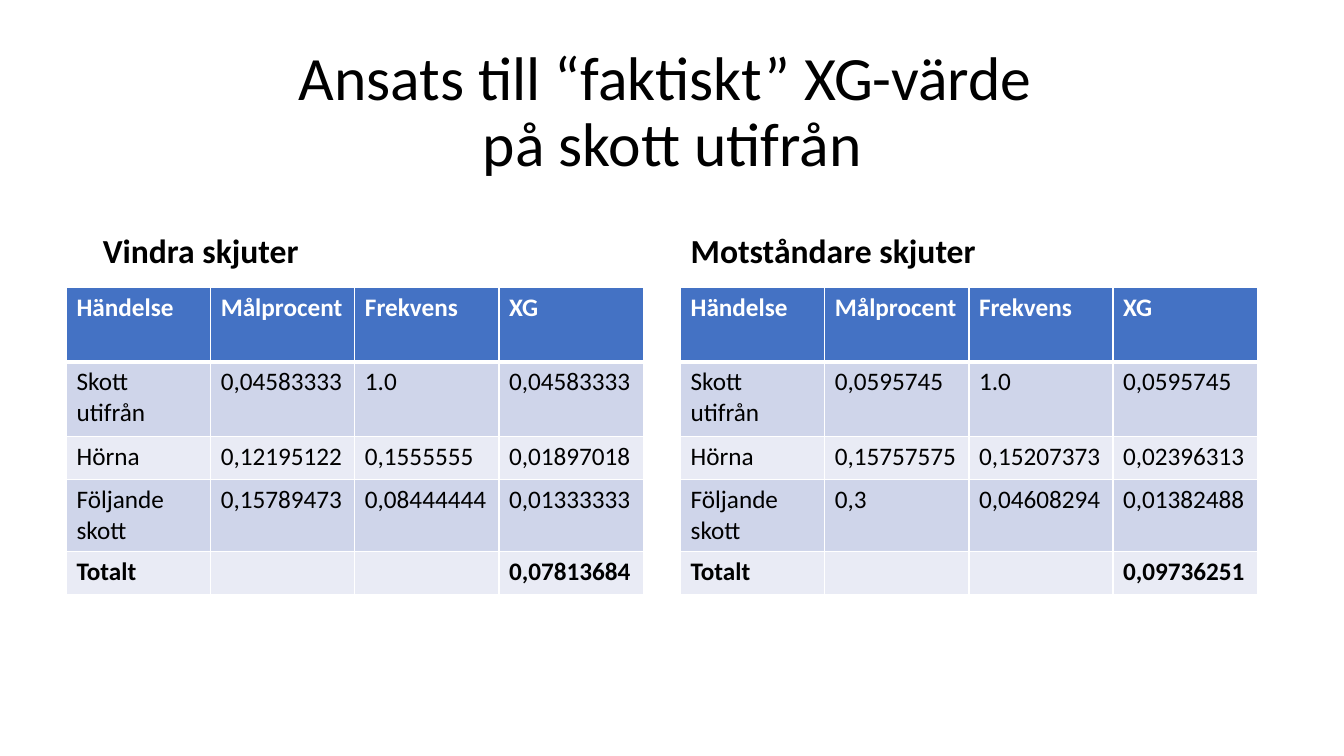
"""Build a slide comparing expected goals on long shots for Vindra and its opponents."""
from dataclasses import dataclass

from lxml.etree import SubElement
from pptx import Presentation
from pptx.dml.color import RGBColor
from pptx.enum.text import MSO_ANCHOR, MSO_AUTO_SIZE, PP_ALIGN
from pptx.oxml.ns import qn
from pptx.slide import Slide
from pptx.table import _Cell
from pptx.text.text import TextFrame
from pptx.util import Inches, Pt


@dataclass(frozen=True)
class Theme:
    font: str = "Calibri"
    ink: str = "000000"
    white: str = "FFFFFF"
    header: str = "4472C4"
    bands: tuple[str, str] = ("E9EBF5", "CFD5EA")
    title_size: int = 44
    heading_size: int = 24
    cell_size: int = 18
    grid_line: float = 1
    header_line: float = 3


@dataclass(frozen=True)
class Side:
    heading: str
    heading_placeholder: int
    heading_left: float
    heading_width: float
    table_left: float
    events: tuple[tuple[str, str, str, str], ...]


THEME = Theme()
COLUMNS = ("Händelse", "Målprocent", "Frekvens", "XG")
COLUMN_WIDTH = 1.43
ROW_HEIGHTS = (0.74, 0.74, 0.43, 0.43, 0.43)
TABLE_TOP, TABLE_WIDTH, TABLE_HEIGHT = 2.85, 5.73, 3.05
SIDES = (
    Side("Vindra skjuter", 1, 0.92, 5.64, 0.66, (
        ("Skott utifrån", "0,04583333", "1.0", "0,04583333"),
        ("Hörna", "0,12195122", "0,1555555", "0,01897018"),
        ("Följande skott", "0,15789473", "0,08444444", "0,01333333"),
        ("Totalt", "", "", "0,07813684"),
    )),
    Side("Motståndare skjuter", 3, 6.75, 5.67, 6.75, (
        ("Skott utifrån", "0,0595745", "1.0", "0,0595745"),
        ("Hörna", "0,15757575", "0,15207373", "0,02396313"),
        ("Följande skott", "0,3", "0,04608294", "0,01382488"),
        ("Totalt", "", "", "0,09736251"),
    )),
)


def write(frame: TextFrame, text: str, *, size: int, color: str = THEME.ink,
          bold: bool = False, align: PP_ALIGN = PP_ALIGN.LEFT,
          line_spacing: float = 1.0) -> None:
    frame.text = text
    paragraph = frame.paragraphs[0]
    paragraph.alignment = align
    paragraph.line_spacing = line_spacing
    paragraph.space_before = Pt(0)
    for run in paragraph.runs:
        run.font.name = THEME.font
        run.font.size = Pt(size)
        run.font.bold = bold
        run.font.color.rgb = RGBColor.from_string(color)


def fill_placeholder(slide: Slide, index: int, box: tuple[float, float, float, float],
                     text: str, *, anchor: MSO_ANCHOR, size: int,
                     bold: bool = False, align: PP_ALIGN = PP_ALIGN.LEFT) -> None:
    holder = slide.placeholders[index]
    holder.left, holder.top, holder.width, holder.height = map(Inches, box)
    frame = holder.text_frame
    frame.word_wrap = True
    frame.auto_size = MSO_AUTO_SIZE.NONE
    frame.vertical_anchor = anchor
    write(frame, text, size=size, bold=bold, align=align, line_spacing=0.9)


def style_cell(cell: _Cell, fill: str, top: float, bottom: float) -> None:
    properties = cell._tc.get_or_add_tcPr()
    widths = {"a:lnL": THEME.grid_line, "a:lnR": THEME.grid_line,
              "a:lnT": top, "a:lnB": bottom}
    for edge, width in widths.items():
        line = SubElement(properties, qn(edge), w=str(Pt(width)))
        SubElement(SubElement(line, qn("a:solidFill")), qn("a:srgbClr"), val=THEME.white)
    cell.fill.solid()
    cell.fill.fore_color.rgb = RGBColor.from_string(fill)


def add_events(slide: Slide, side: Side) -> None:
    rows = (COLUMNS, *side.events)
    graphic = slide.shapes.add_table(
        len(rows), len(COLUMNS), Inches(side.table_left), Inches(TABLE_TOP),
        Inches(TABLE_WIDTH), Inches(TABLE_HEIGHT))
    table = graphic.table
    for column in table.columns:
        column.width = Inches(COLUMN_WIDTH)
    for r, (height, values) in enumerate(zip(ROW_HEIGHTS, rows)):
        table.rows[r].height = Inches(height)
        is_header = r == 0
        for c, value in enumerate(values):
            cell = table.cell(r, c)
            style_cell(cell, THEME.header if is_header else THEME.bands[r % 2],
                       top=THEME.header_line if r == 1 else THEME.grid_line,
                       bottom=THEME.header_line if is_header else THEME.grid_line)
            write(cell.text_frame, value, size=THEME.cell_size,
                  color=THEME.white if is_header else THEME.ink,
                  bold=is_header or values[0] == "Totalt")
    graphic.width, graphic.height = Inches(TABLE_WIDTH), Inches(TABLE_HEIGHT)


def main() -> None:
    deck = Presentation()
    deck.slide_width, deck.slide_height = Inches(13.33), Inches(7.5)
    slide = deck.slides.add_slide(deck.slide_layouts.get_by_name("Comparison"))
    for unused in (2, 4):
        element = slide.placeholders[unused].element
        element.getparent().remove(element)
    fill_placeholder(slide, 0, (0.92, 0.4, 11.5, 1.45),
                     "Ansats till “faktiskt” XG-värde \vpå skott utifrån",
                     anchor=MSO_ANCHOR.MIDDLE, size=THEME.title_size,
                     align=PP_ALIGN.CENTER)
    for side in SIDES:
        fill_placeholder(slide, side.heading_placeholder,
                         (side.heading_left, 1.84, side.heading_width, 0.9),
                         side.heading, anchor=MSO_ANCHOR.BOTTOM,
                         size=THEME.heading_size, bold=True)
        add_events(slide, side)
    deck.save("out.pptx")


if __name__ == "__main__":
    main()
